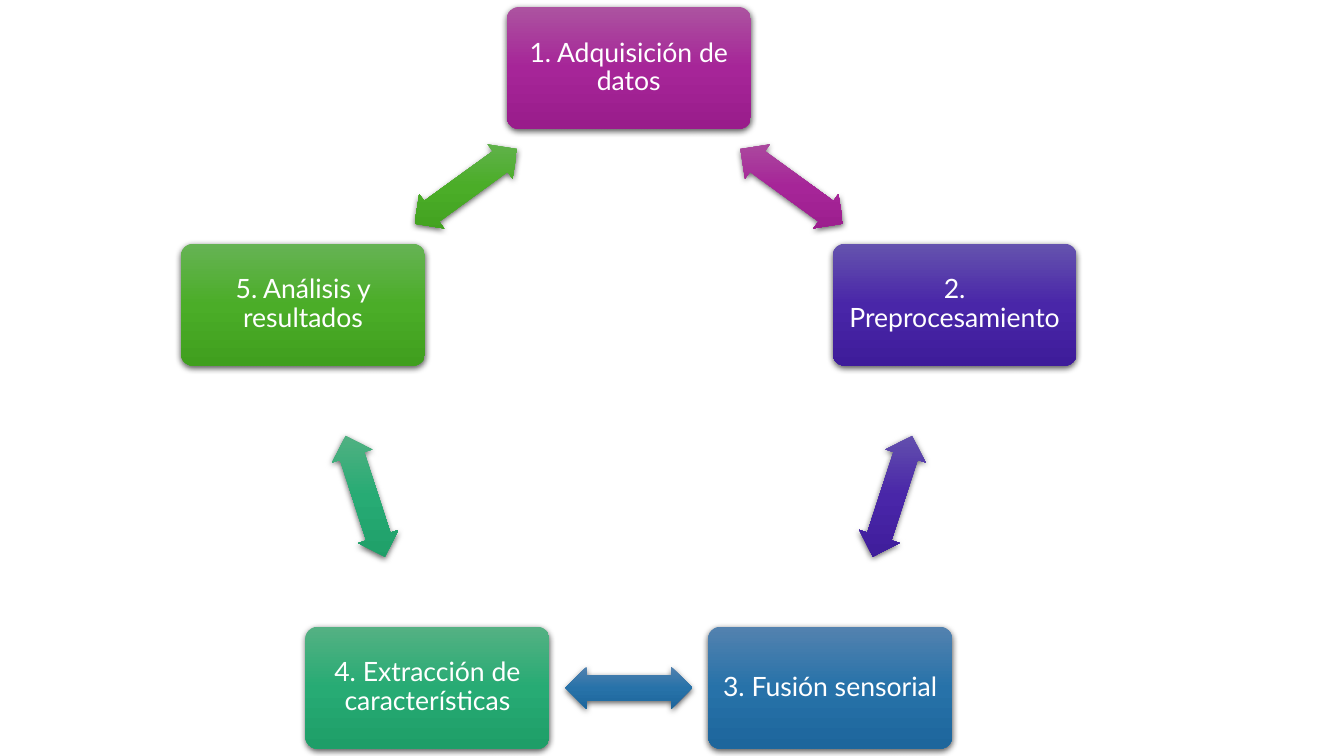
from math import cos, radians, sin

from lxml.etree import fromstring
from pptx import Presentation
from pptx.dml.color import RGBColor
from pptx.enum.shapes import MSO_SHAPE as Shape
from pptx.enum.text import MSO_ANCHOR as Anchor, PP_ALIGN as Align
from pptx.util import Pt

NAMESPACE = "http://schemas.openxmlformats.org/drawingml/2006/main"
WHITE = RGBColor(0xFF, 0xFF, 0xFF)
BLACK = RGBColor(0x00, 0x00, 0x00)
MAGENTA = (RGBColor(0xAC, 0x53, 0xA0), RGBColor(0xA6, 0x25, 0x98), RGBColor(0x99, 0x1C, 0x8B))
VIOLET = (RGBColor(0x65, 0x53, 0xAE), RGBColor(0x49, 0x26, 0xA8), RGBColor(0x3E, 0x1C, 0x9A))
BLUE = (RGBColor(0x53, 0x82, 0xAF), RGBColor(0x27, 0x72, 0xA9), RGBColor(0x1D, 0x66, 0x9C))
TEAL = (RGBColor(0x54, 0xB1, 0x83), RGBColor(0x27, 0xAB, 0x74), RGBColor(0x1E, 0x9E, 0x68))
GREEN = (RGBColor(0x66, 0xB3, 0x54), RGBColor(0x4B, 0xAD, 0x28), RGBColor(0x40, 0x9F, 0x1E))

STEPS = [
    ("1. Adquisición de datos", MAGENTA),
    ("2. Preprocesamiento", VIOLET),
    ("3. Fusión sensorial", BLUE),
    ("4. Extracción de características", TEAL),
    ("5. Análisis y resultados", GREEN),
]
STEP_SIZE = (174.3, 87.15)
ARROW_SIZE = (90.7, 30.3)


def add_glossy_shape(slide, kind, center, size, colors):
    """Add a shape around a center point with a vertical gradient and a soft shadow."""
    (x, y), (width, height) = center, size
    shape = slide.shapes.add_shape(
        kind, Pt(x - width / 2), Pt(y - height / 2), Pt(width), Pt(height))
    shape.line.fill.background()
    stops = "".join(
        f'<a:gs pos="{position}"><a:srgbClr val="{color}"/></a:gs>'
        for position, color in zip((0, 50000, 100000), colors))
    gradient = (f'<a:gradFill xmlns:a="{NAMESPACE}" rotWithShape="0"><a:gsLst>{stops}</a:gsLst>'
                '<a:lin ang="5400000" scaled="0"/></a:gradFill>')
    shadow = (f'<a:effectLst xmlns:a="{NAMESPACE}"><a:outerShdw blurRad="{Pt(4.5)}" '
              f'dist="{Pt(1.5)}" dir="5400000" algn="ctr" rotWithShape="0">'
              f'<a:srgbClr val="{BLACK}"><a:alpha val="63000"/></a:srgbClr>'
              '</a:outerShdw></a:effectLst>')
    outline = shape.line._ln
    outline.addprevious(fromstring(gradient))
    outline.addnext(fromstring(shadow))
    return shape


def add_step(slide, center, label, colors):
    """Add a rounded step box with its centered label."""
    box = add_glossy_shape(slide, Shape.ROUNDED_RECTANGLE, center, STEP_SIZE, colors)
    box.adjustments[0] = 0.1
    frame = box.text_frame
    frame.word_wrap = True
    frame.vertical_anchor = Anchor.MIDDLE
    frame.margin_left = frame.margin_right = Pt(5.7)
    frame.margin_top = frame.margin_bottom = Pt(5.7)
    para = frame.paragraphs[0]
    para.text = label
    para.alignment = Align.CENTER
    para.line_spacing = 0.9
    para.font.name = "Lato"
    para.font.size = Pt(19)
    para.font.color.rgb = WHITE


def add_arrow(slide, center, rotation, colors):
    """Add a double arrow turned along one side of the cycle."""
    arrow = add_glossy_shape(slide, Shape.LEFT_RIGHT_ARROW, center, ARROW_SIZE, colors)
    arrow.adjustments[0] = 0.6
    arrow.adjustments[1] = 0.5
    arrow.rotation = rotation


def add_cycle(slide, left, top, radius):
    """Lay the steps clockwise on a circle, with an arrow midway to each next step."""
    turn = 360 / len(STEPS)
    center_x = left + STEP_SIZE[0] / 2 + radius * sin(radians(turn))
    center_y = top + STEP_SIZE[1] / 2 + radius

    def point(angle, distance):
        return (center_x + distance * sin(radians(angle)),
                center_y - distance * cos(radians(angle)))

    for index, (label, colors) in enumerate(STEPS):
        angle = index * turn
        middle = angle + turn / 2
        add_step(slide, point(angle, radius), label, colors)
        add_arrow(slide, point(middle, radius * cos(radians(turn / 2))), middle, colors)


def main():
    """Build the deck with its single cycle slide."""
    deck = Presentation()
    deck.slide_width, deck.slide_height = Pt(960), Pt(540)
    slide = deck.slides.add_slide(deck.slide_layouts[6])
    add_cycle(slide, left=129.3, top=5, radius=244.7)
    deck.save("out.pptx")


if __name__ == "__main__":
    main()
